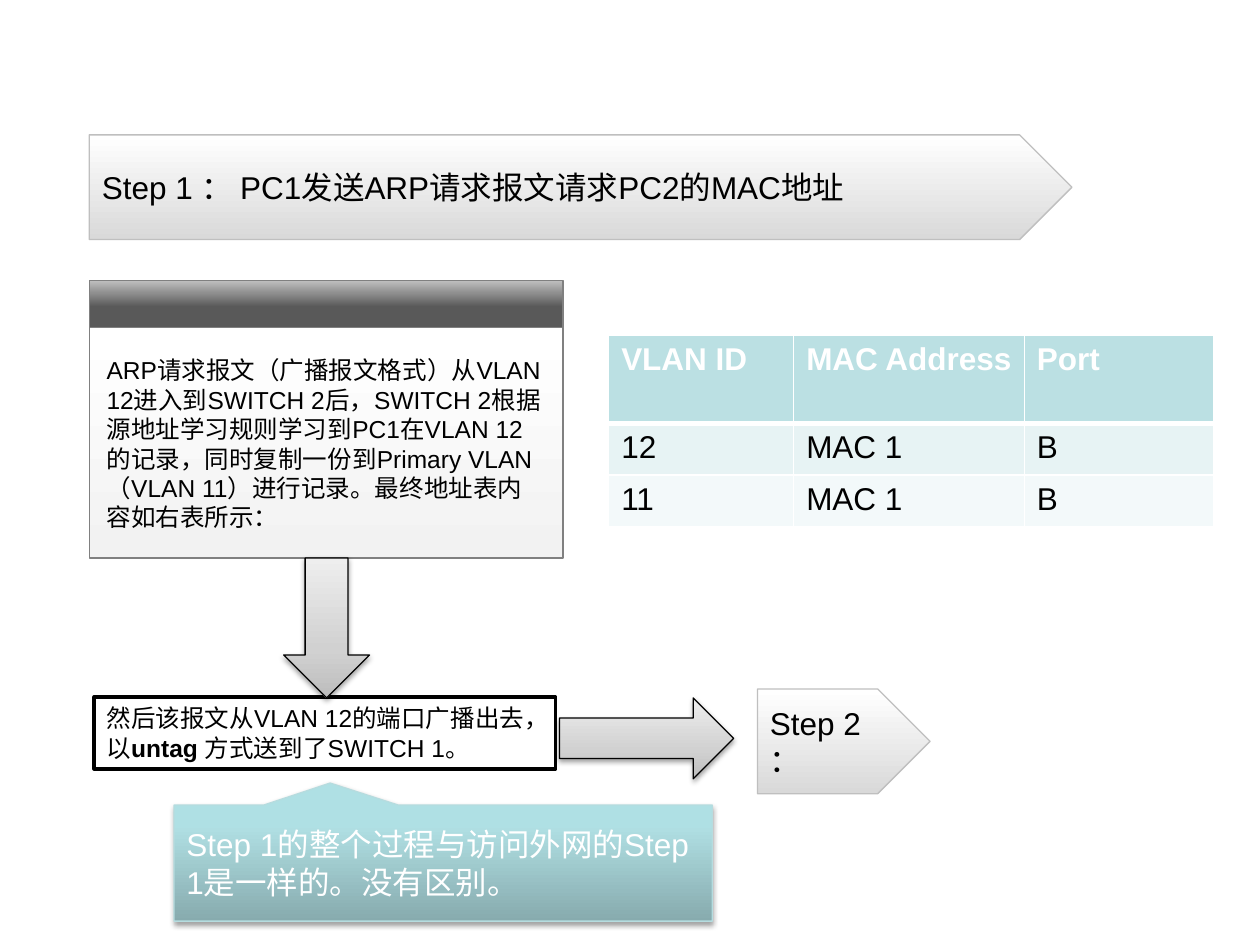
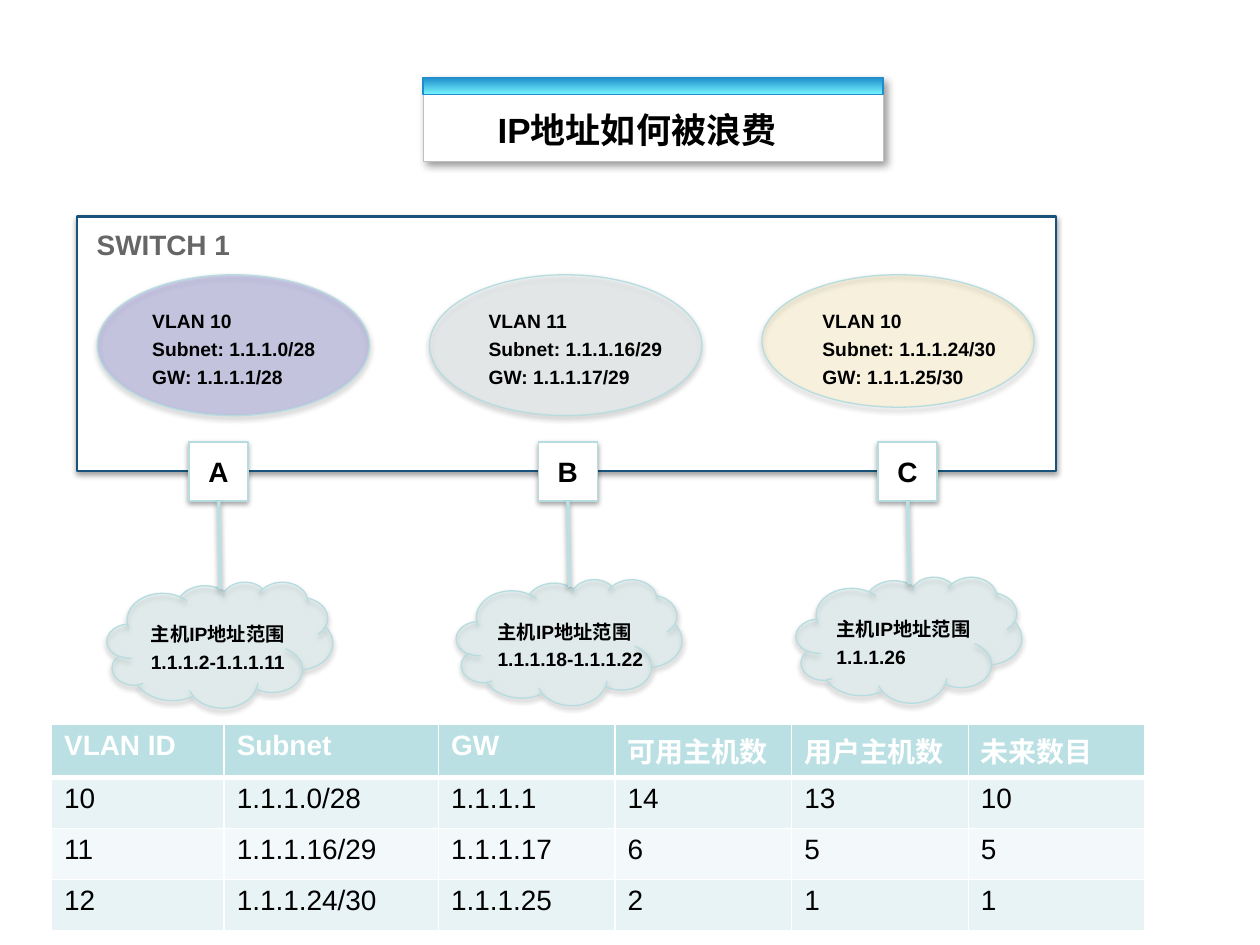
from lxml import etree
from pptx import Presentation, util as u
from pptx.dml.color import RGBColor
from pptx.enum import shapes, text
from pptx.oxml import parse_xml
from pptx.oxml.ns import qn

COLORS = {
    "black": "000000", "white": "FFFFFF", "switch name": "666666",
    "edge": "BFBFBF", "card edge": "808080", "strip edge": "208ECD",
    "teal": "BBE0E3", "teal edge": "B6DCDF", "switch edge": "17537A",
    "odd row": "E7F3F4", "even row": "F3F9FA", "cloud": "B5E5E9",
    "violet": "6B6BCF", "mist": "E9F4F5", "amber": "FFC000",
}
# Gradients run from top to bottom: (position in percent, colour)
STEP_FILL = [(0, "FFFFFF"), (100, "D9D9D9")]
CARD_FILL = [(0, "FFFFFF"), (100, "F2F2F2")]
CARD_BAR_FILL = [(0, "BFBFBF"), (56, "595959")]
ARROW_FILL = [(0, "EEEEEE"), (65, "D1D1D1"), (100, "BDBDBD")]
CALLOUT_FILL = [(0, "AFE0E4"), (20, "AFDEE2"), (100, "87ABAE")]
STRIP_FILL = [(0, "208ECD"), (100, "74F4FF")]

SHADOW = (
    '<a:effectLst xmlns:a="http://schemas.openxmlformats.org/drawingml/2006/main">'
    '<a:outerShdw blurRad="{}" dist="{}" dir="{}" algn="ctr" rotWithShape="0">'
    '<a:srgbClr val="000000"><a:alpha val="{}"/></a:srgbClr></a:outerShdw></a:effectLst>'
)
SOFT = SHADOW.format(u.Pt(3.1), u.Pt(1.7), 90 * 60000, 36000)
CORNER = SHADOW.format(u.Pt(5), u.Pt(3), 45 * 60000, 40000)
KIND = shapes.MSO_SHAPE


def draw(slide, kind, box, fill, edge, width=0.75, shadow=None, alpha=None):
    """Add a preset shape; fill is a colour name or a list of gradient stops."""
    shape = slide.shapes.add_shape(kind, *map(u.Cm, box))
    properties = shape._element.spPr
    if isinstance(fill, str):
        shape.fill.solid()
        shape.fill.fore_color.rgb = RGBColor.from_string(COLORS[fill])
        if alpha:
            color = properties.find(".//" + qn("a:srgbClr"))
            etree.SubElement(color, qn("a:alpha"), val=str(alpha * 1000))
    else:
        shape.fill.gradient()
        shape.fill.gradient_angle = 270
        stops = properties.find(".//" + qn("a:gsLst"))
        stops[:] = []
        for position, value in fill:
            stop = etree.SubElement(stops, qn("a:gs"), pos=str(position * 1000))
            etree.SubElement(stop, qn("a:srgbClr"), val=value)
    shape.line.color.rgb = RGBColor.from_string(COLORS[edge])
    shape.line.width = u.Pt(width)
    if shadow:
        properties.append(parse_xml(shadow))
    else:
        shape.shadow.inherit = False
    return shape


def write(frame, lines, size, bold=False, color="black", middle=False,
          align=text.PP_ALIGN.LEFT):
    """Fill a text frame with lines; words between asterisks turn bold."""
    layout = {
        "word_wrap": True, "auto_size": text.MSO_AUTO_SIZE.NONE,
        "vertical_anchor": text.MSO_ANCHOR.MIDDLE if middle else text.MSO_ANCHOR.TOP,
    }
    for name, value in layout.items():
        setattr(frame, name, value)
    for number, line in enumerate(lines):
        paragraph = frame.add_paragraph() if number else frame.paragraphs[0]
        paragraph.alignment = align
        if number:
            paragraph.space_before = u.Pt(size * 0.23)
        for part, words in enumerate(line.split("*")):
            run = paragraph.add_run()
            run.text = words
            style = {"name": "Arial", "size": u.Pt(size), "bold": bold or part % 2 == 1}
            for name, value in style.items():
                setattr(run.font, name, value)
            run.font.color.rgb = RGBColor.from_string(COLORS[color])


prs = Presentation()
prs.slide_width, prs.slide_height = u.Cm(25.4), u.Cm(19.05)
title_only = prs.slide_layouts[5]
arp, waste = [prs.slides.add_slide(title_only) for _ in range(2)]

# Title plates, then the titles on top of them
step_box = (1.8, 2.72, 19.81, 2.11)
draw(arp, KIND.PENTAGON, step_box, STEP_FILL, "edge")
draw(waste, KIND.RECTANGLE, (8.53, 1.57, 9.27, 1.68), "white", "edge", 0.25, CORNER)
draw(waste, KIND.RECTANGLE, (8.53, 1.57, 9.27, 0.33), STRIP_FILL, "strip edge")
titles = [
    (arp, step_box, "Step 1 ： PC1发送ARP请求报文请求PC2的MAC地址", 18, False),
    (waste, (9.78, 2.06, 7.26, 1.12), "IP地址如何被浪费", 20, True),
]
for slide, box, words, size, bold in titles:
    title = slide.shapes.title
    for side, value in zip(("left", "top", "width", "height"), box):
        setattr(title, side, u.Cm(value))
    write(title.text_frame, [words], size, bold, middle=True)
    slide.shapes._spTree.append(title._element)

# Step 1: how the ARP request travels
draw(arp, KIND.RECTANGLE, (1.8, 6.6, 9.55, 4.65), CARD_FILL, "card edge")
draw(arp, KIND.RECTANGLE, (1.8, 5.66, 9.55, 0.94), CARD_BAR_FILL, "card edge")
learning = arp.shapes.add_textbox(*map(u.Cm, (1.9, 7.04, 9.3, 3.84)))
write(learning.text_frame, [
    "ARP请求报文（广播报文格式）从VLAN 12进入到SWITCH 2后，"
    "SWITCH 2根据源地址学习规则学习到PC1在VLAN 12的记录，"
    "同时复制一份到Primary VLAN（VLAN 11）进行记录。最终地址表内容如右表所示："], 14)
broadcast = draw(arp, KIND.RECTANGLE, (1.9, 14.05, 9.3, 1.45), "white", "black", 2)
write(broadcast.text_frame,
      ["然后该报文从VLAN 12的端口广播出去，以*untag *方式送到了SWITCH 1。"], 14)
draw(arp, KIND.DOWN_ARROW, (5.72, 11.25, 1.73, 2.82), ARROW_FILL, "black", shadow=SOFT)
draw(arp, KIND.RIGHT_ARROW, (11.28, 14.07, 3.51, 1.63), ARROW_FILL, "black", shadow=SOFT)
next_step = draw(arp, KIND.PENTAGON, (15.27, 13.89, 3.48, 2.11), STEP_FILL, "edge")
write(next_step.text_frame, ["Step 2 ："], 18, middle=True)
remark = draw(arp, KIND.RECTANGULAR_CALLOUT, (3.51, 16.23, 10.85, 2.34),
              CALLOUT_FILL, "teal edge", shadow=SOFT)
remark.adjustments[0], remark.adjustments[1] = -0.21, -0.69
write(remark.text_frame, ["Step 1的整个过程与访问外网的Step 1是一样的。没有区别。"],
      18, color="white", middle=True)

# The switch with its three VLANs, ports and host ranges
draw(waste, KIND.RECTANGLE, (1.55, 4.37, 19.74, 5.13), "white", "switch edge", 1.5, SOFT)
switch_name = waste.shapes.add_textbox(*map(u.Cm, (1.7, 4.47, 4.11, 0.94)))
write(switch_name.text_frame, ["SWITCH 1"], 16, True, "switch name")

vlans = [
    # port, port left, cloud top, ellipse height, colour, opacity,
    # VLAN text left, host text left, VLAN, subnet, gateway, hosts
    ("A", 3.81, 11.73, 2.84, "violet", 28, 2.82, 2.79,
     "VLAN 10", "1.1.1.0/28", "1.1.1.1/28", "1.1.1.2-1.1.1.11"),
    ("B", 10.85, 11.68, 2.84, "mist", 34, 9.6, 9.78,
     "VLAN 11", "1.1.1.16/29", "1.1.1.17/29", "1.1.1.18-1.1.1.22"),
    ("C", 17.7, 11.63, 2.67, "amber", 10, 16.33, 16.61,
     "VLAN 10", "1.1.1.24/30", "1.1.1.25/30", "1.1.1.26"),
]
for number, (port, left, cloud_top, height, color, opacity, vlan_left, host_left,
             vlan, subnet, gateway, hosts) in enumerate(vlans):
    socket = draw(waste, KIND.RECTANGLE, (left, 8.91, 1.19, 1.19), "white",
                  "teal edge", shadow=SOFT)
    for side in ("left", "right", "top", "bottom"):
        setattr(socket.text_frame, "margin_" + side, 0)
    write(socket.text_frame, [port], 16, True, middle=True, align=text.PP_ALIGN.CENTER)
    draw(waste, KIND.CLOUD, (left - 1.65, cloud_top, 4.55, 2.54), "cloud",
         "teal edge", shadow=SOFT, alpha=21)
    draw(waste, KIND.OVAL, (1.96 + 6.7 * number, 5.54, 5.49, height), color,
         "teal edge", shadow=SOFT, alpha=opacity)
    link = waste.shapes.add_connector(
        shapes.MSO_CONNECTOR.STRAIGHT,
        *map(u.Cm, (left + 0.6, 10.1, left + 0.63, cloud_top + 0.15)))
    link.line.color.rgb = RGBColor.from_string(COLORS["teal"])
    link.line.width = u.Pt(2)
    link._element.spPr.append(parse_xml(SOFT))
    notes = [
        ((vlan_left, 6.12, 4.42, 1.85), [vlan, f"Subnet: {subnet}", f"GW: {gateway}"]),
        ((host_left, cloud_top + 0.69, 4, 1.3), ["主机IP地址范围", hosts]),
    ]
    for box, lines in notes:
        note = waste.shapes.add_textbox(*map(u.Cm, box))
        write(note.text_frame, lines, 11, True)

# Address table and subnet table
tables = [
    (arp, (12.27, 6.76), (3.73, 4.65, 3.81), (1.78, 1.04, 1.04), 18, [
        ("VLAN ID", "MAC Address", "Port"),
        ("12", "MAC 1", "B"),
        ("11", "MAC 1", "B")]),
    (waste, (1.04, 14.6), (3.48, 4.32) + (3.56,) * 4, (1.03,) * 4, 16, [
        ("VLAN ID", "Subnet", "GW", "可用主机数", "用户主机数", "未来数目"),
        ("10", "1.1.1.0/28", "1.1.1.1", "14", "13", "10"),
        ("11", "1.1.1.16/29", "1.1.1.17", "6", "5", "5"),
        ("12", "1.1.1.24/30", "1.1.1.25", "2", "1", "1")]),
]
for slide, corner, widths, heights, size, rows in tables:
    extent = (sum(widths), sum(heights))
    table = slide.shapes.add_table(len(rows), len(widths),
                                   *map(u.Cm, corner + extent)).table
    for column, width in zip(table.columns, widths):
        column.width = u.Cm(width)
    for r, values in enumerate(rows):
        table.rows[r].height = u.Cm(heights[r])
        header = r == 0
        for c, value in enumerate(values):
            cell = table.cell(r, c)
            write(cell.text_frame, [value], size, header, "white" if header else "black")
            cell.fill.solid()
            fill = "teal" if header else "odd row" if r % 2 else "even row"
            cell.fill.fore_color.rgb = RGBColor.from_string(COLORS[fill])
            borders = cell._tc.get_or_add_tcPr()
            for place, side in enumerate("LRTB"):
                thick = (header and side == "B") or (r == 1 and side == "T")
                border = etree.Element(qn("a:ln" + side), w=str(u.Pt(3 if thick else 1)))
                paint = etree.SubElement(border, qn("a:solidFill"))
                etree.SubElement(paint, qn("a:srgbClr"), val=COLORS["white"])
                borders.insert(place, border)

prs.save("out.pptx")
